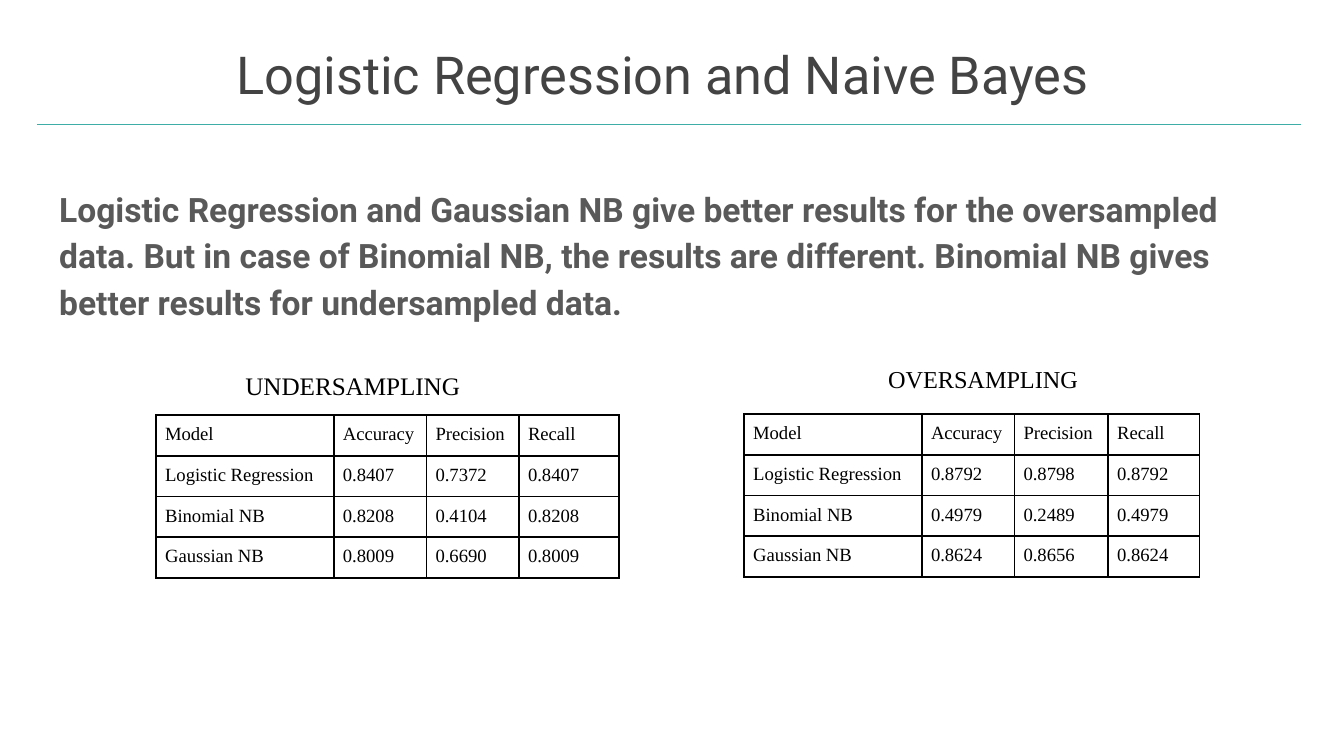
"""Build a slide comparing classifier scores for two sampling methods."""
from typing import NamedTuple

from lxml.etree import SubElement
from pptx import Presentation
from pptx.dml.color import RGBColor as RGB
from pptx.enum.shapes import MSO_CONNECTOR as Link
from pptx.enum.text import MSO_ANCHOR as Anchor, PP_ALIGN as Align
from pptx.oxml.ns import qn
from pptx.slide import Slide
from pptx.table import _Cell as Cell
from pptx.text.text import TextFrame as Frame, _Paragraph as Para
from pptx.util import Pt

BLACK = RGB(0x00, 0x00, 0x00)
TEAL = RGB(0x3E, 0xAD, 0xA7)
DARK = RGB(0x43, 0x43, 0x43)
GRAY = RGB(0x59, 0x59, 0x59)
SANS = "Roboto"
SERIF = "Times New Roman"
PAD = 7.2
INSET = 4.9
ROW = 21.05
HEADS = ("Model", "Accuracy", "Precision", "Recall")
MODELS = ("Logistic Regression", "Binomial NB", "Gaussian NB")
TITLE = "Logistic Regression and Naive Bayes"
BODY = (
    "Logistic Regression and Gaussian NB give better results for the "
    "oversampled data. But in case of Binomial NB, the results are different. "
    "Binomial NB gives better results for undersampled data."
)


class Box(NamedTuple):
    left: float
    top: float
    width: float
    height: float


class Panel(NamedTuple):
    label: str
    size: float
    spot: Box
    left: float
    top: float
    cols: tuple[float, ...]
    scores: tuple[tuple[str, ...], ...]


PANELS = (
    Panel(
        "UNDERSAMPLING", 13.5, Box(109, 194.5, 160, 24), 83.6, 222.4,
        (95.3, 49.6, 49.6, 53.5),
        (("0.8407", "0.7372", "0.8407"),
         ("0.8208", "0.4104", "0.8208"),
         ("0.8009", "0.6690", "0.8009")),
    ),
    Panel(
        "OVERSAMPLING", 13, Box(446.6, 191, 160, 24), 398.6, 221.8,
        (95.3, 49.6, 50.2, 49),
        (("0.8792", "0.8798", "0.8792"),
         ("0.4979", "0.2489", "0.4979"),
         ("0.8624", "0.8656", "0.8624")),
    ),
)


def style(para: Para, name: str, size: float, color: RGB, bold: bool = False) -> None:
    font = para.font
    font.name, font.size, font.bold = name, Pt(size), bold
    font.color.rgb = color


def fit(frame: Frame, text: str, anchor: Anchor) -> Para:
    frame.word_wrap = True
    frame.vertical_anchor = anchor
    frame.margin_left = frame.margin_right = Pt(PAD)
    frame.margin_top = frame.margin_bottom = Pt(PAD)
    frame.text = text
    return frame.paragraphs[0]


def add_text(slide: Slide, box: Box, text: str, anchor: Anchor) -> Para:
    shape = slide.shapes.add_textbox(*map(Pt, box))
    return fit(shape.text_frame, text, anchor)


def add_title(slide: Slide) -> None:
    title = slide.shapes.title
    title.left, title.top, title.width, title.height = map(
        Pt, Box(19.3, 16.5, 671, 45.4))
    para = fit(title.text_frame, TITLE, Anchor.MIDDLE)
    para.alignment = Align.CENTER
    style(para, SANS, 28, DARK)


def add_rule(slide: Slide) -> None:
    rule = slide.shapes.add_connector(
        Link.STRAIGHT, Pt(19.8), Pt(66.8), Pt(697), Pt(66.8))
    rule.line.color.rgb = TEAL
    rule.line.width = Pt(0.75)
    SubElement(rule._element.spPr, qn("a:effectLst"))


def add_body(slide: Slide) -> None:
    para = add_text(slide, Box(24.6, 90.8, 671, 269), BODY, Anchor.TOP)
    para.line_spacing = 1.15
    para.space_after = Pt(16)
    style(para, SANS, 18, GRAY, True)


def fill_cell(cell: Cell, text: str) -> None:
    props = cell._tc.get_or_add_tcPr()
    for side in ("lnL", "lnR", "lnT", "lnB"):
        edge = SubElement(props, qn(f"a:{side}"), w=str(Pt(1)))
        paint = SubElement(edge, qn("a:solidFill"))
        SubElement(paint, qn("a:srgbClr"), val=str(BLACK))
    cell.fill.background()
    cell.margin_left = cell.margin_right = Pt(INSET)
    cell.margin_top = cell.margin_bottom = Pt(INSET)
    cell.text = text
    style(cell.text_frame.paragraphs[0], SERIF, 10, BLACK)


def add_panel(slide: Slide, panel: Panel) -> None:
    para = add_text(slide, panel.spot, panel.label, Anchor.MIDDLE)
    para.alignment = Align.CENTER
    style(para, SERIF, panel.size, BLACK)
    rows = [HEADS] + [(name, *vals) for name, vals in zip(MODELS, panel.scores)]
    box = Box(panel.left, panel.top, sum(panel.cols), ROW * len(rows))
    table = slide.shapes.add_table(len(rows), len(HEADS), *map(Pt, box)).table
    table.first_row = table.horz_banding = False
    for col, width in zip(table.columns, panel.cols):
        col.width = Pt(width)
    for row, texts in zip(table.rows, rows):
        row.height = Pt(ROW)
        for cell, text in zip(row.cells, texts):
            fill_cell(cell, text)


def main() -> None:
    deck = Presentation()
    deck.slide_width, deck.slide_height = Pt(720), Pt(405)
    slide = deck.slides.add_slide(deck.slide_layouts[5])
    add_rule(slide)
    add_title(slide)
    add_body(slide)
    for panel in PANELS:
        add_panel(slide, panel)
    deck.save("out.pptx")


if __name__ == "__main__":
    main()
